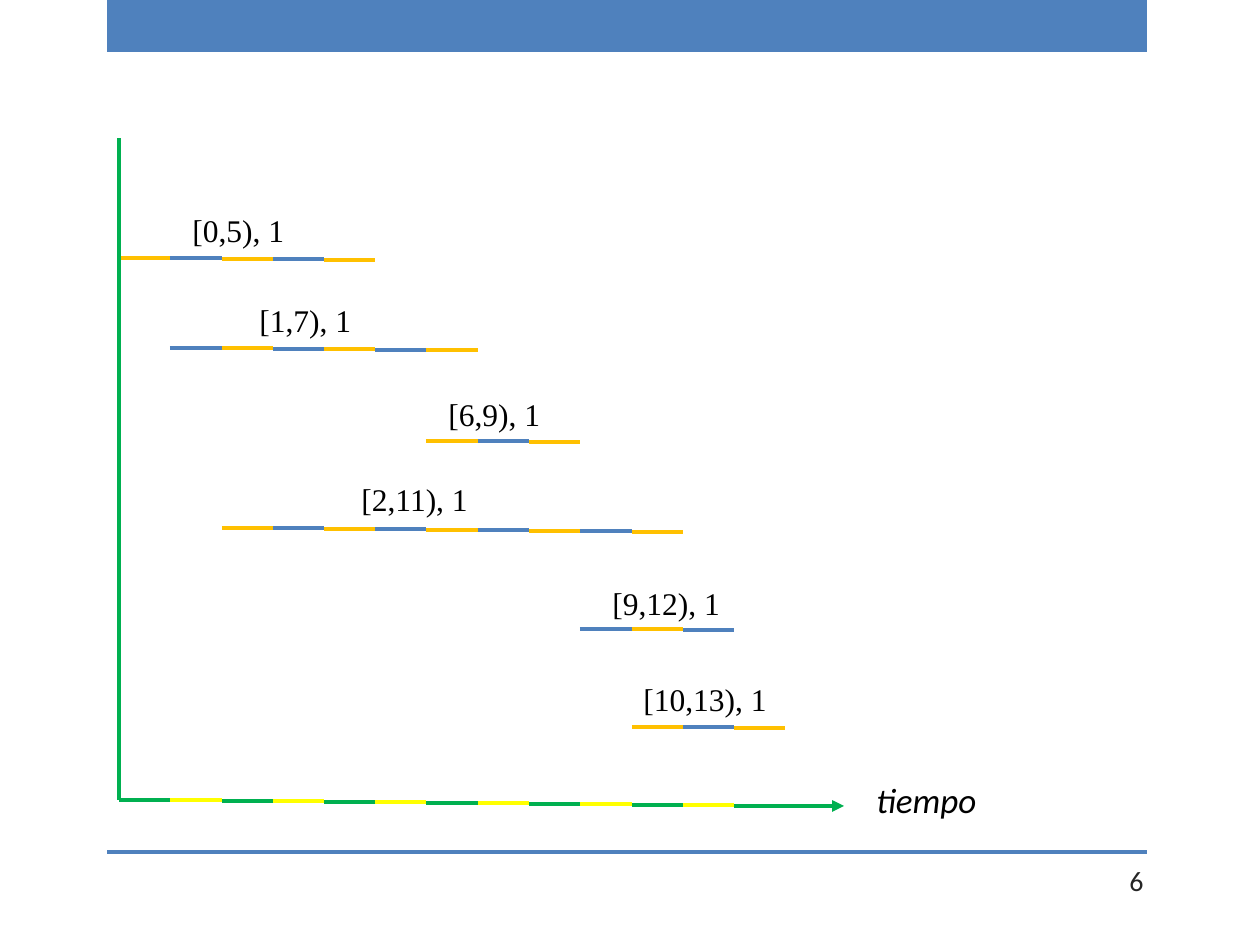
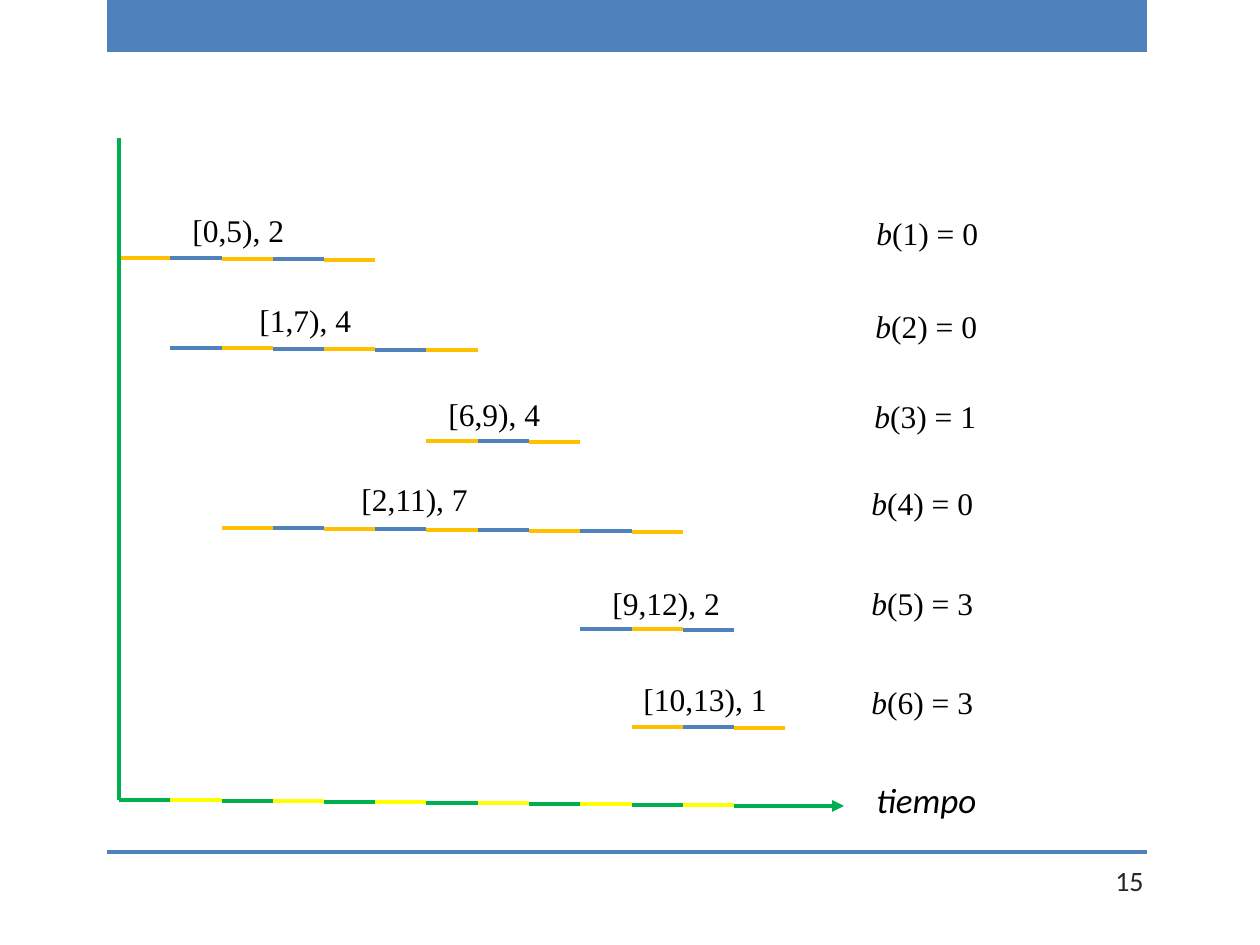
"""Build two slides of weighted intervals over a time axis."""
from dataclasses import dataclass
from lxml.etree import SubElement
from pptx import Presentation
from pptx.dml.color import RGBColor
from pptx.enum.shapes import MSO_CONNECTOR, MSO_SHAPE
from pptx.enum.text import MSO_ANCHOR, MSO_AUTO_SIZE, PP_ALIGN
from pptx.oxml.ns import qn
from pptx.util import Emu, Pt


@dataclass(frozen=True)
class Theme:
    blue: str = "4F81BD"
    gold: str = "FFC000"
    green: str = "00B050"
    yellow: str = "FFFF00"
    black: str = "000000"
    grey: str = "262626"
    sans: str = "Calibri"
    serif: str = "Times New Roman"
    stroke: float = 2.25
    label: int = 18
    axis: int = 20
    number: int = 16


theme = Theme()
scale = 914400 / 126


def line(slide, *ends, color):
    item = slide.shapes.add_connector(
        MSO_CONNECTOR.STRAIGHT, *[Emu(round(n * scale)) for n in ends])
    item.line.color.rgb = RGBColor.from_string(color)
    item.line.width = Pt(theme.stroke)
    SubElement(item._element.spPr, qn("a:effectLst"))
    return item


def text(slide, box, runs, size, font, color=theme.black):
    item = slide.shapes.add_textbox(*[Emu(round(n * scale)) for n in box])
    frame = item.text_frame
    frame.word_wrap = False
    frame.auto_size = MSO_AUTO_SIZE.SHAPE_TO_FIT_TEXT
    for words, slant in runs:
        run = frame.paragraphs[0].add_run()
        run.text = words
        run.font.name = font
        run.font.size = Pt(size)
        run.font.italic = slant
        run.font.color.rgb = RGBColor.from_string(color)
    return frame


bands = [(107, 0, 1040, 52), (107, 850, 1040, 4)]
left, base, step, drift = 119, 800, 51.25, 0.5
ticks = [round(left + step * n) for n in range(14)]
last = 12

tasks = [
    (0, 5, 258, 180, 205),
    (1, 7, 348, 247, 295),
    (6, 9, 441, 436, 389),
    (2, 11, 528, 349, 474),
    (9, 12, 629, 600, 578),
    (10, 13, 727, 631, 674),
]
spots = [(864, 208), (863, 301), (862, 391),
         (859, 478), (859, 578), (859, 677)]
pages = [
    ("6", [1, 1, 1, 1, 1, 1], []),
    ("15", [2, 4, 4, 7, 2, 1], [0, 0, 1, 0, 3, 3]),
]

deck = Presentation()
deck.slide_width = Emu(round(1260 * scale))
deck.slide_height = Emu(round(945 * scale))

for number, weights, values in pages:
    slide = deck.slides.add_slide(deck.slide_layouts[6])

    for box in bands:
        band = slide.shapes.add_shape(
            MSO_SHAPE.RECTANGLE, *[Emu(round(n * scale)) for n in box])
        band.shadow.inherit = False
        band.fill.solid()
        band.fill.fore_color.rgb = RGBColor.from_string(theme.blue)
        band.line.fill.background()

    frame = text(slide, (1051, 855, 105, 50), [(number, False)],
                 theme.number, theme.sans, theme.grey)
    frame.word_wrap = True
    frame.auto_size = MSO_AUTO_SIZE.NONE
    frame.vertical_anchor = MSO_ANCHOR.MIDDLE
    frame.paragraphs[0].alignment = PP_ALIGN.RIGHT

    for (start, end, row, x, y), weight in zip(tasks, weights):
        for n in range(start, end):
            level = row + int((n - start) * drift)
            line(slide, ticks[n], level, ticks[n + 1], level,
                 color=theme.blue if n % 2 else theme.gold)
        label = f"[{start},{end}), {weight}"
        wide = 118 + 16 * (len(label) - len("[0,5), 1"))
        text(slide, (x, y, wide, 50), [(label, False)],
             theme.label, theme.serif)

    text(slide, (864, 772, 126, 55), [("tiempo", True)],
         theme.axis, theme.sans)
    line(slide, left, base, left, 138, color=theme.green)

    for n, ((x, y), value) in enumerate(zip(spots, values), 1):
        text(slide, (x, y, 128, 50),
             [("b", True), (f"({n}) = {value}", False)],
             theme.label, theme.serif)

    for n in range(last):
        level = base + int(n * drift)
        line(slide, ticks[n], level, ticks[n + 1], level,
             color=theme.yellow if n % 2 else theme.green)
    level = base + int(last * drift)
    arrow = line(slide, ticks[last], level, 844, level, color=theme.green)
    SubElement(arrow.line._get_or_add_ln(), qn("a:tailEnd"), type="triangle")

deck.save("out.pptx")
